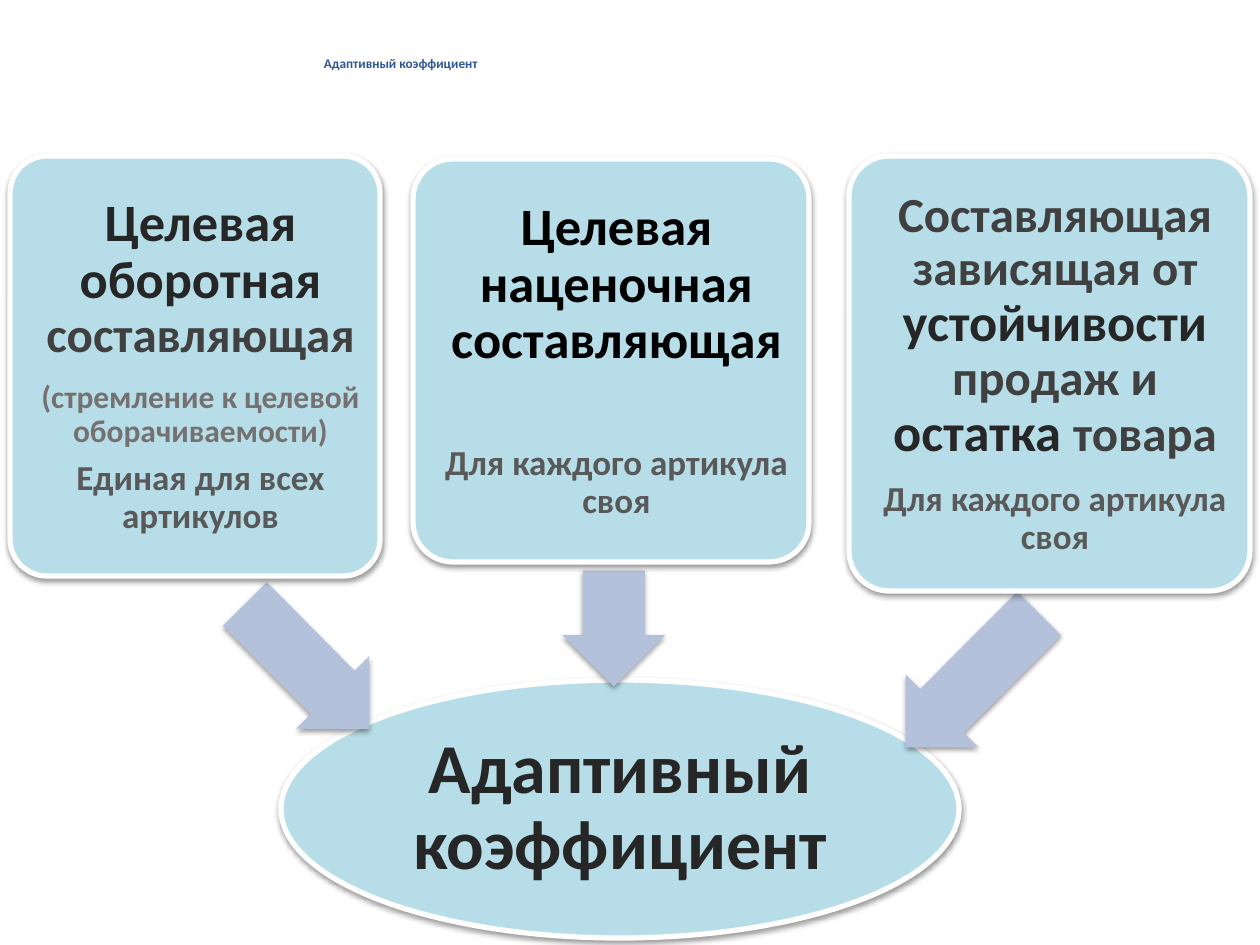
from dataclasses import dataclass

from lxml.etree import SubElement
from pptx import Presentation
from pptx.dml.color import RGBColor
from pptx.enum.shapes import MSO_SHAPE
from pptx.enum.text import MSO_ANCHOR, PP_ALIGN
from pptx.oxml.ns import qn
from pptx.util import Pt

EMU_PER_PX = 914400 / 126
COLORS = {
    "panel": "B7DEE8",
    "arrow": "B3C1DB",
    "edge": "FFFFFF",
    "title": "2F5597",
    "black": "000000",
    "strong": "262626",
    "dark": "404040",
    "medium": "595959",
    "soft": "767171",
}
FONT = {"name": "Calibri", "bold": True}
SHADOW = {"blurRad": "40000", "dist": "20000", "dir": "5400000", "rotWithShape": "0"}


@dataclass(frozen=True)
class Span:
    """Text with one size and colour."""
    text: str
    size: float
    color: str


@dataclass(frozen=True)
class Para:
    """Spans in a line of thought, with the space after it in points."""
    spans: tuple[Span, ...]
    after: float = 0
    align: PP_ALIGN = PP_ALIGN.CENTER


@dataclass(frozen=True)
class Box:
    """Place and size in px."""
    left: int
    top: int
    width: int
    height: int


@dataclass(frozen=True)
class Panel:
    """Outlined shape that holds text."""
    kind: MSO_SHAPE
    box: Box
    margins: tuple[int, int, int, int]
    paras: tuple[Para, ...]


@dataclass(frozen=True)
class Arrow:
    """Left arrow turned by an angle in degrees."""
    box: Box
    angle: float


def px(length: int) -> int:
    """Turn px into EMU."""
    return round(length * EMU_PER_PX)


def place(box: Box) -> tuple[int, ...]:
    """Give the place and size of a box in EMU."""
    return tuple(map(px, (box.left, box.top, box.width, box.height)))


def rgb(name: str) -> RGBColor:
    """Look up a colour."""
    return RGBColor.from_string(COLORS[name])


def assign(target, values: dict) -> None:
    """Set every attribute in a dict of format values."""
    for name, value in values.items():
        setattr(target, name, value)


def write(frame, paras: tuple[Para, ...], margins: tuple[int, int, int, int]) -> None:
    """Fill a text frame with paragraphs."""
    sides = ("margin_left", "margin_top", "margin_right", "margin_bottom")
    assign(frame, {"word_wrap": True, "vertical_anchor": MSO_ANCHOR.MIDDLE,
                   **dict(zip(sides, map(px, margins)))})
    for index, para in enumerate(paras):
        paragraph = frame.add_paragraph() if index else frame.paragraphs[0]
        assign(paragraph, {"alignment": para.align, "line_spacing": 0.9,
                           "space_after": Pt(para.after)})
        for span in para.spans:
            run = paragraph.add_run()
            run.text = span.text
            assign(run.font, {**FONT, "size": Pt(span.size)})
            run.font.color.rgb = rgb(span.color)


def add_shape(page, kind: MSO_SHAPE, box: Box, fill: str):
    """Add a filled shape with a soft shadow below it."""
    shape = page.shapes.add_shape(kind, *place(box))
    shape.fill.solid()
    shape.fill.fore_color.rgb = rgb(fill)
    shape.line.fill.background()
    shape.shadow.inherit = False
    effects = shape.element.spPr.find(qn("a:effectLst"))
    shadow = SubElement(effects, qn("a:outerShdw"), SHADOW)
    color = SubElement(shadow, qn("a:srgbClr"), val=COLORS["black"])
    SubElement(color, qn("a:alpha"), val="38000")
    return shape


def add_panel(page, panel: Panel) -> None:
    """Add a panel with its text."""
    shape = add_shape(page, panel.kind, panel.box, "panel")
    shape.line.color.rgb = rgb("edge")
    shape.line.width = Pt(3)
    if panel.kind == MSO_SHAPE.ROUNDED_RECTANGLE:
        shape.adjustments[0] = 0.1
    write(shape.text_frame, panel.paras, panel.margins)


def add_arrow(page, arrow: Arrow) -> None:
    """Add a turned arrow."""
    shape = add_shape(page, MSO_SHAPE.LEFT_ARROW, arrow.box, "arrow")
    shape.rotation = arrow.angle
    shape.adjustments[0] = 0.6
    shape.adjustments[1] = 0.5


def card(box: Box, *paras: Para) -> Panel:
    """Describe a rounded card."""
    return Panel(MSO_SHAPE.ROUNDED_RECTANGLE, box, (19, 19, 8, 19), paras)


OWN = Para((Span("Для каждого артикула своя", 20, "medium"),), 7)
RESULT = Panel(MSO_SHAPE.OVAL, Box(281, 680, 678, 258), (4, 4, 4, 4), (
    Para((Span("Адаптивный коэффициент", 40, "strong"),), 14),
))
CARDS = (
    card(
        Box(10, 156, 370, 420),
        Para((Span("Целевая оборотная ", 30, "strong"),
              Span("составляющая", 28, "dark")), 10.5),
        Para((Span("(стремление к целевой оборачиваемости)", 18, "soft"),), 6.3),
        Para((Span("Единая для всех артикулов", 20, "medium"),), 7),
    ),
    card(
        Box(413, 159, 396, 403),
        Para((Span("Целевая наценочная составляющая", 30, "black"),), 43),
        OWN,
    ),
    card(
        Box(849, 156, 401, 435),
        Para((Span("Составляющая зависящая от ", 28, "dark"),
              Span("устойчивости ", 30, "strong"),
              Span("продаж и ", 28, "dark"),
              Span("остатка ", 30, "strong"),
              Span("товара", 28, "dark")), 10.5),
        OWN,
    ),
)
ARROWS = (
    Arrow(Box(219, 615, 176, 103), 225.2),
    Arrow(Box(556, 577, 116, 103), 270),
    Arrow(Box(878, 629, 189, 103), 314.9),
)
TITLE_BOX = Box(311, 37, 811, 55)
TITLE = Para((Span("Адаптивный коэффициент", 7.6, "title"),), align=PP_ALIGN.LEFT)


def main() -> None:
    """Build and save the deck."""
    deck = Presentation()
    assign(deck, {"slide_width": px(1260), "slide_height": px(945)})
    page = deck.slides.add_slide(deck.slide_layouts[6])
    add_panel(page, RESULT)
    for arrow in ARROWS:
        add_arrow(page, arrow)
    for panel in CARDS:
        add_panel(page, panel)
    title = page.shapes.add_textbox(*place(TITLE_BOX))
    write(title.text_frame, (TITLE,), (13, 6, 13, 6))
    deck.save("out.pptx")


if __name__ == "__main__":
    main()
